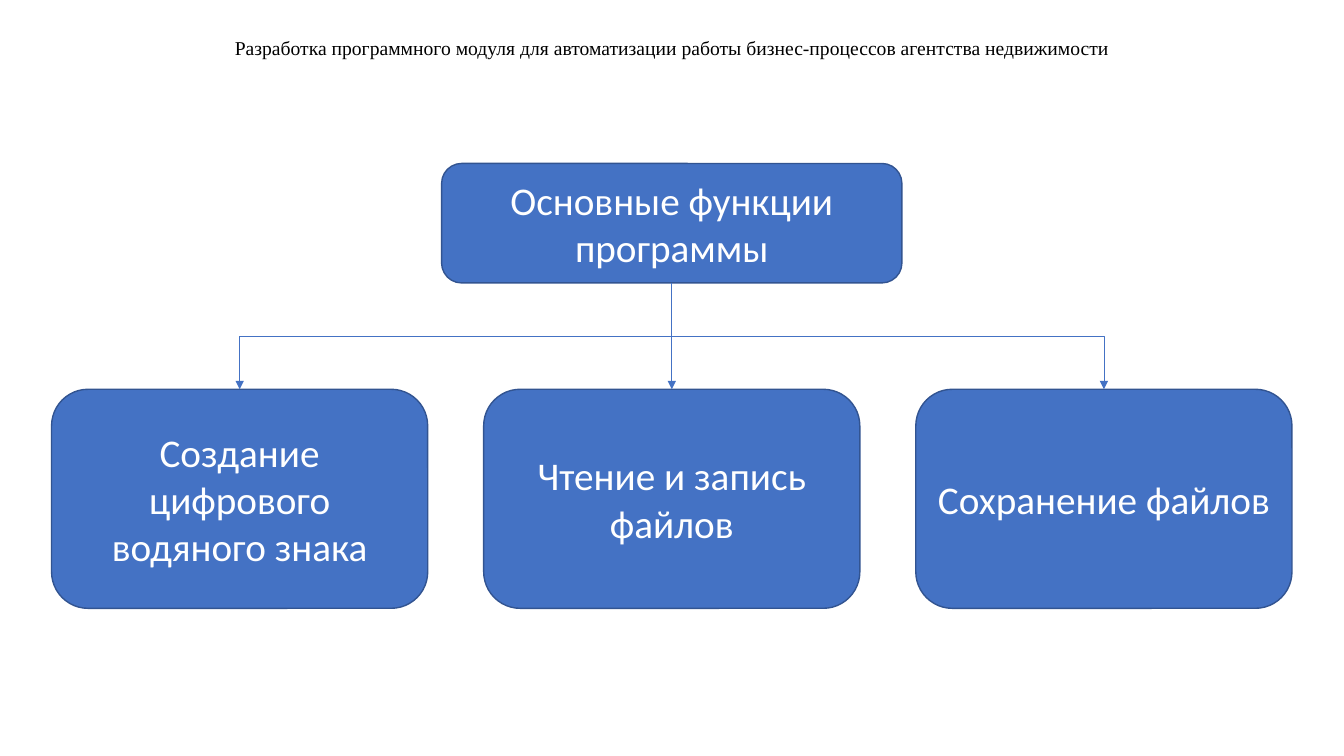
from lxml import etree
from pptx import Presentation
from pptx.dml.color import RGBColor
from pptx.enum import shapes, text
from pptx.oxml.ns import qn
from pptx.util import Cm, Pt

BLUE, DARK_BLUE, WHITE, BLACK = "4472C4", "325491", "FFFFFF", "000000"
TITLE = ("Разработка программного модуля для автоматизации работы "
         "бизнес-процессов агентства недвижимости")
ROOT = "Основные функции программы"
FUNCTIONS = ("Создание цифрового водяного знака", "Чтение и запись файлов",
             "Сохранение файлов")
TOP_SITE, BOTTOM_SITE = 0, 2


def rgb(value):
    return RGBColor.from_string(value)


def format_paragraph(p, font, size, color):
    p.alignment = text.PP_ALIGN.CENTER
    p.font.name = font
    p.font.size = Pt(size)
    p.font.color.rgb = rgb(color)


def set_title(slide, content):
    sp = slide.shapes.title
    sp.left, sp.top, sp.width, sp.height = Cm(5.51), Cm(0.76), Cm(22.86), Cm(1.55)
    tf = sp.text_frame
    tf.text = content
    tf.word_wrap = True
    tf.auto_size = text.MSO_AUTO_SIZE.NONE
    tf.vertical_anchor = text.MSO_ANCHOR.TOP
    tf.margin_top = Cm(0.22)
    p = tf.paragraphs[0]
    p.line_spacing = 0.9
    format_paragraph(p, "Times New Roman", 14, BLACK)


def add_box(slide, content, left, top, width, height):
    sp = slide.shapes.add_shape(shapes.MSO_SHAPE.ROUNDED_RECTANGLE,
                                Cm(left), Cm(top), Cm(width), Cm(height))
    sp.shadow.inherit = False
    sp.fill.solid()
    sp.fill.fore_color.rgb = rgb(BLUE)
    sp.line.color.rgb = rgb(DARK_BLUE)
    sp.line.width = Pt(1)
    tf = sp.text_frame
    tf.text = content
    tf.word_wrap = True
    tf.vertical_anchor = text.MSO_ANCHOR.MIDDLE
    format_paragraph(tf.paragraphs[0], "Calibri", 28, WHITE)
    return sp


def add_branch(slide, parent, child):
    """Join two boxes with an elbow arrow that leaves the parent downwards."""
    cxn = slide.shapes.add_connector(shapes.MSO_CONNECTOR.ELBOW, 0, 0, 0, 0)
    cxn.begin_connect(parent, BOTTOM_SITE)
    cxn.end_connect(child, TOP_SITE)
    goes_right = cxn.end_x > cxn.begin_x

    # An elbow starts sideways, so turn it a quarter about its centre.
    width, height = cxn.width, cxn.height
    cxn.left += (width - height) // 2
    cxn.top += (height - width) // 2
    cxn.width, cxn.height = height, width
    sp_pr = cxn._element.spPr
    xfrm = sp_pr.find(qn("a:xfrm"))
    xfrm.set("rot", str((270 if goes_right else 90) * 60000))
    xfrm.set("flipH", "1" if goes_right else "0")

    cxn.line.color.rgb = rgb(BLUE)
    cxn.line.width = Pt(0.5)
    etree.SubElement(sp_pr.find(qn("a:ln")), qn("a:tailEnd"), type="triangle")
    etree.SubElement(sp_pr, qn("a:effectLst"))


def main():
    prs = Presentation()
    prs.slide_width, prs.slide_height = Cm(33.87), Cm(19.05)
    slide = prs.slides.add_slide(prs.slide_layouts[5])
    set_title(slide, TITLE)

    root = add_box(slide, ROOT, 11.13, 4.12, 11.6, 3.01)
    left, pitch = 1.3, 10.89
    for i, name in enumerate(FUNCTIONS):
        box = add_box(slide, name, left + i * pitch, 9.81, 9.48, 5.52)
        add_branch(slide, root, box)

    prs.save("out.pptx")


if __name__ == "__main__":
    main()
